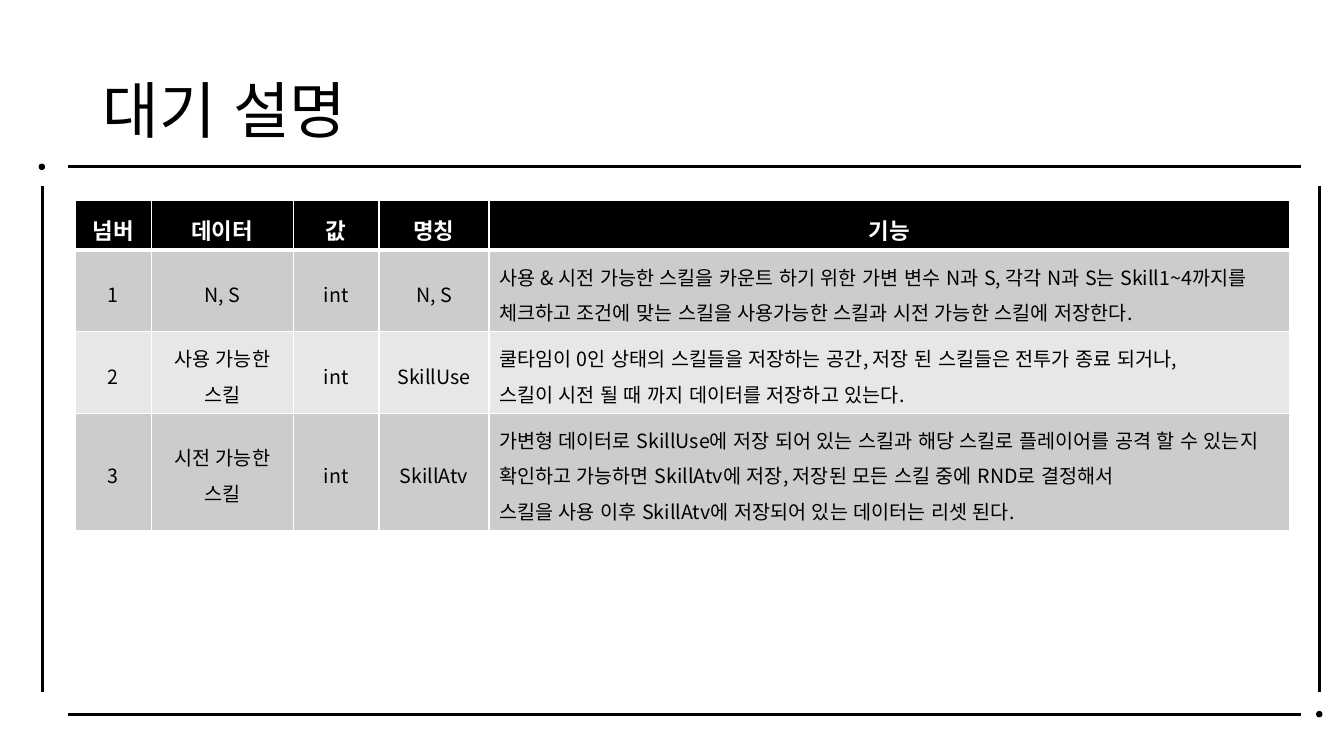
from dataclasses import dataclass

from lxml import etree
from pptx import Presentation
from pptx.dml.color import RGBColor
from pptx.enum import lang, shapes as kinds, text as txt
from pptx.oxml.ns import qn
from pptx.util import Inches, Pt


@dataclass(frozen=True)
class Theme:
    font: str = "Noto Sans CJK KR"
    ink: str = "000000"
    paper: str = "FFFFFF"
    bands: tuple[str, str] = ("CCCCCC", "E7E7E7")
    title_size: int = 44
    header_size: int = 16
    body_size: int = 14
    frame_line: float = 2.25
    dot_line: float = 1
    cell_line: int = 1
    header_line: int = 3


@dataclass(frozen=True)
class TextStyle:
    size: int
    color: str
    spacing: float
    bold: bool = False
    align: txt.PP_ALIGN = txt.PP_ALIGN.LEFT


@dataclass(frozen=True)
class Rule:
    x1: float
    y1: float
    x2: float
    y2: float


@dataclass(frozen=True)
class Dot:
    left: float
    top: float


THEME = Theme()
DOT_SIZE = 0.05
RULES = (
    Rule(0.67, 1.65, 12.9, 1.65),
    Rule(0.67, 7.09, 12.9, 7.09),
    Rule(0.42, 1.85, 0.42, 6.87),
    Rule(13.09, 1.85, 13.09, 6.87),
)
DOTS = (Dot(13.06, 7.06), Dot(0.39, 1.63))

COLUMN_WIDTHS = (0.75, 1.41, 0.85, 1.09, 7.94)
ROW_HEIGHTS = (0.49, 0.81, 0.81, 1.16)
VARIABLES = (
    ("넘버", "데이터", "값", "명칭", "기능"),
    ("1", "N, S", "int", "N, S",
     "사용 & 시전 가능한 스킬을 카운트 하기 위한 가변 변수 N과 S, 각각 N과 S는 "
     "Skill1~4까지를 체크하고 조건에 맞는 스킬을 사용가능한 스킬과 시전 가능한 스킬에 저장한다."),
    ("2", "사용 가능한 스킬", "int", "SkillUse",
     "쿨타임이 0인 상태의 스킬들을 저장하는 공간, 저장 된 스킬들은 전투가 종료 되거나,\n"
     "스킬이 시전 될 때 까지 데이터를 저장하고 있는다."),
    ("3", "시전 가능한\n스킬", "int", "SkillAtv",
     "가변형 데이터로 SkillUse에 저장 되어 있는 스킬과 해당 스킬로 플레이어를 공격 할 수 있는지 "
     "확인하고 가능하면 SkillAtv에 저장, 저장된 모든 스킬 중에 RND로 결정해서\n"
     "스킬을 사용 이후 SkillAtv에 저장되어 있는 데이터는 리셋 된다."),
)


def rgb(color: str) -> RGBColor:
    return RGBColor.from_string(color)


def write(frame, content: str, style: TextStyle) -> None:
    """Fill a text frame, one paragraph per line, with Latin and Korean in one font."""
    frame.text = content
    for paragraph in frame.paragraphs:
        paragraph.alignment = style.align
        paragraph.line_spacing = style.spacing
        font = paragraph.font
        font.language_id = lang.MSO_LANGUAGE_ID.KOREAN
        font.size = Pt(style.size)
        font.bold = style.bold
        font.color.rgb = rgb(style.color)
        font.name = THEME.font
        latin = paragraph._p.pPr.find(f"{qn('a:defRPr')}/{qn('a:latin')}")
        korean = etree.Element(qn("a:ea"), typeface=THEME.font)
        latin.addnext(korean)


def draw_rule(slide, rule: Rule) -> None:
    line = slide.shapes.add_connector(
        kinds.MSO_CONNECTOR.STRAIGHT,
        Inches(rule.x1), Inches(rule.y1), Inches(rule.x2), Inches(rule.y2))
    line.line.color.rgb = rgb(THEME.ink)
    line.line.width = Pt(THEME.frame_line)
    etree.SubElement(line._element.spPr, qn("a:effectLst"))


def draw_dot(slide, dot: Dot) -> None:
    circle = slide.shapes.add_shape(
        kinds.MSO_SHAPE.OVAL, Inches(dot.left), Inches(dot.top),
        Inches(DOT_SIZE), Inches(DOT_SIZE))
    circle.shadow.inherit = False
    circle.fill.solid()
    circle.fill.fore_color.rgb = rgb(THEME.ink)
    circle.line.color.rgb = rgb(THEME.ink)
    circle.line.width = Pt(THEME.dot_line)


def draw_title(slide) -> None:
    title = slide.shapes.add_textbox(
        Inches(0.92), Inches(0.4), Inches(11.5), Inches(1.45))
    title.text_frame.word_wrap = True
    title.text_frame.vertical_anchor = txt.MSO_ANCHOR.MIDDLE
    write(title.text_frame, "대기 설명", TextStyle(THEME.title_size, THEME.ink, 0.9))


def set_borders(cell, top: int, bottom: int) -> None:
    """Add the four borders; call before the fill, which must follow them in the XML."""
    side = THEME.cell_line
    properties = cell._tc.get_or_add_tcPr()
    for tag, width in (("lnL", side), ("lnR", side), ("lnT", top), ("lnB", bottom)):
        border = etree.SubElement(properties, qn(f"a:{tag}"), w=str(Pt(width)))
        fill = etree.SubElement(border, qn("a:solidFill"))
        etree.SubElement(fill, qn("a:srgbClr"), val=THEME.paper)


def draw_variable_table(slide) -> None:
    table = slide.shapes.add_table(
        len(VARIABLES), len(COLUMN_WIDTHS), Inches(0.75), Inches(1.99),
        Inches(sum(COLUMN_WIDTHS)), Inches(sum(ROW_HEIGHTS))).table
    for column, width in zip(table.columns, COLUMN_WIDTHS):
        column.width = Inches(width)
    for row, height in zip(table.rows, ROW_HEIGHTS):
        row.height = Inches(height)

    function_column = len(COLUMN_WIDTHS) - 1
    for r, entries in enumerate(VARIABLES):
        header = r == 0
        for c, content in enumerate(entries):
            cell = table.cell(r, c)
            set_borders(
                cell,
                top=THEME.header_line if r == 1 else THEME.cell_line,
                bottom=THEME.header_line if header else THEME.cell_line)
            cell.fill.solid()
            cell.fill.fore_color.rgb = rgb(
                THEME.ink if header else THEME.bands[(r - 1) % 2])
            cell.vertical_anchor = txt.MSO_ANCHOR.MIDDLE
            left = c == function_column and not header
            write(cell.text_frame, content, TextStyle(
                size=THEME.header_size if header else THEME.body_size,
                color=THEME.paper if header else THEME.ink,
                spacing=1.25,
                bold=header,
                align=txt.PP_ALIGN.LEFT if left else txt.PP_ALIGN.CENTER))


def main() -> None:
    deck = Presentation()
    deck.slide_width, deck.slide_height = Inches(13.33), Inches(7.5)
    slide = deck.slides.add_slide(deck.slide_layouts[6])
    for rule in RULES:
        draw_rule(slide, rule)
    for dot in DOTS:
        draw_dot(slide, dot)
    draw_title(slide)
    draw_variable_table(slide)
    deck.save("out.pptx")


if __name__ == "__main__":
    main()
